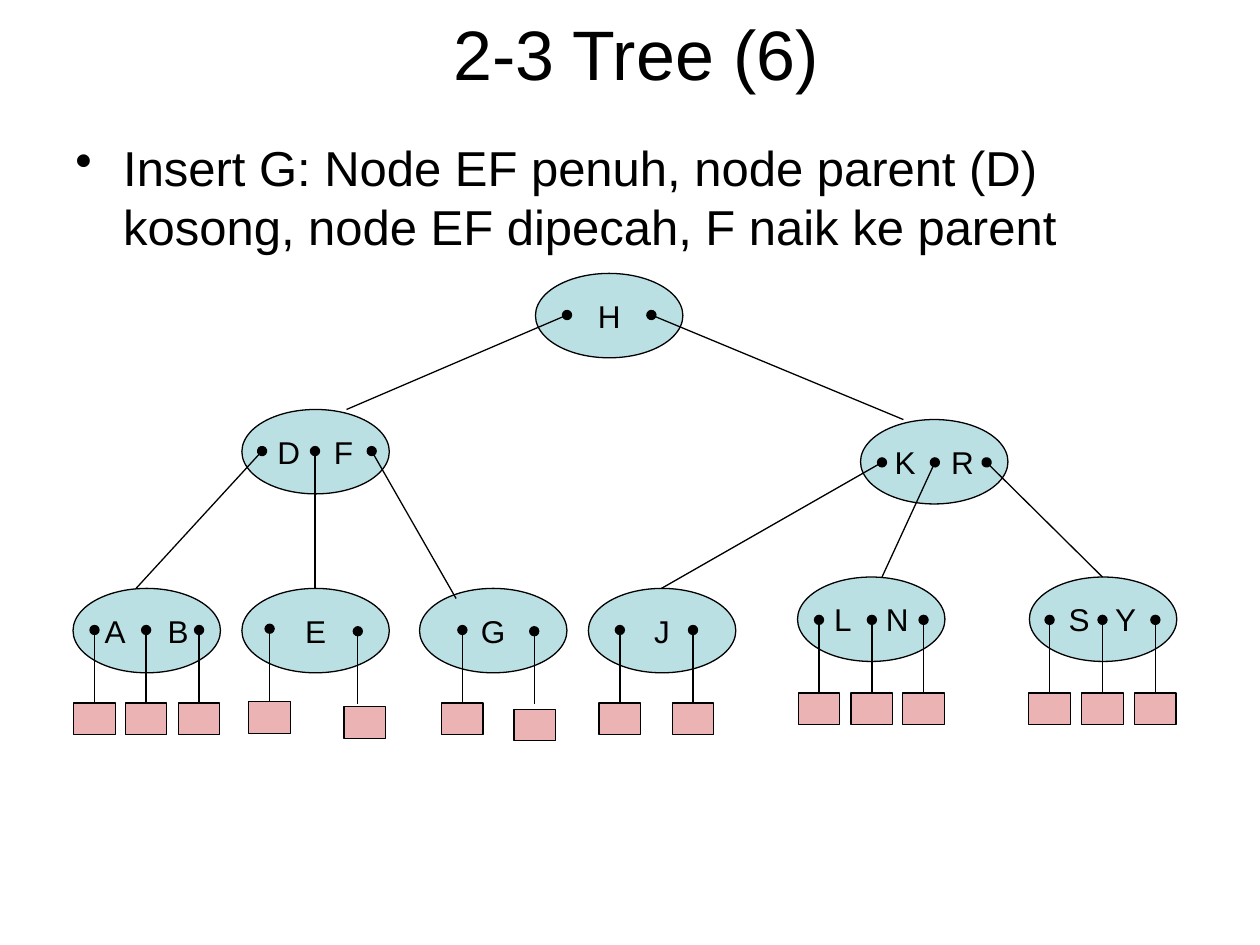
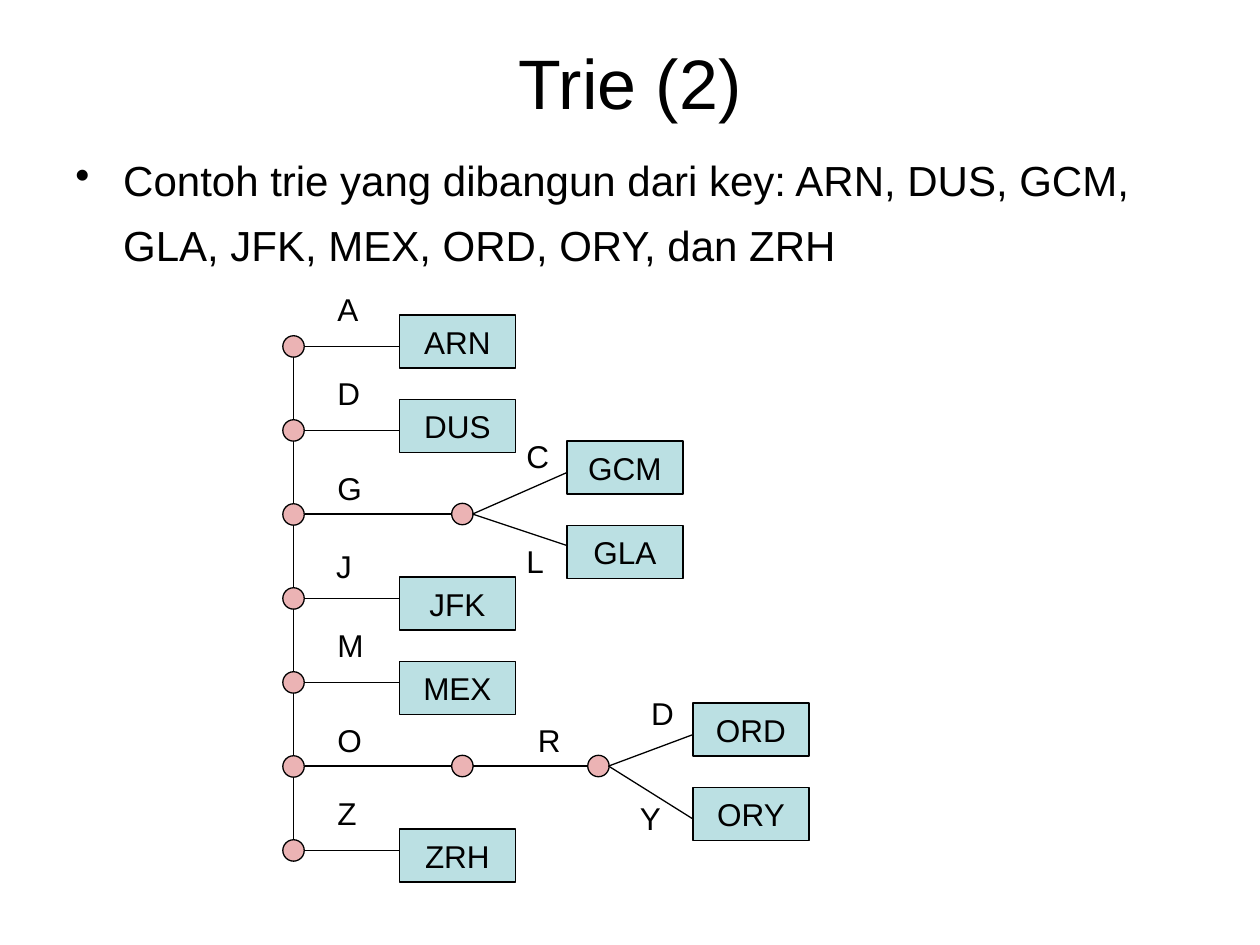
from dataclasses import dataclass

from lxml import etree
from pptx import Presentation
from pptx.dml.color import RGBColor
from pptx.enum.shapes import MSO_CONNECTOR, MSO_SHAPE
from pptx.enum.text import MSO_ANCHOR, PP_ALIGN
from pptx.oxml.ns import qn
from pptx.util import Inches, Pt

OVAL = MSO_SHAPE.OVAL
RECTANGLE = MSO_SHAPE.RECTANGLE
STRAIGHT = MSO_CONNECTOR.STRAIGHT
MIDDLE = MSO_ANCHOR.MIDDLE
CENTER = PP_ALIGN.CENTER
LEFT = PP_ALIGN.LEFT
TOP_SIDE = 0


@dataclass(frozen=True)
class Theme:
    font: str = "Arial"
    ink: RGBColor = RGBColor(0x00, 0x00, 0x00)
    teal: RGBColor = RGBColor(0xBB, 0xE0, 0xE3)
    pink: RGBColor = RGBColor(0xEB, 0xB3, 0xB4)
    title_size: int = 40
    label_size: int = 18
    line_width: float = 0.75


THEME = Theme()

NODE_WIDTH, NODE_HEIGHT = 1.17, 0.67
NODE_INSET = 0.17
LEAF_WIDTH, LEAF_HEIGHT = 0.33, 0.25
POINTER_LENGTH = 0.58

TREE_NODES = [
    (4.25, 2.17, [("H", None)]),
    (1.92, 3.25, [("D", 0.28), ("F", 0.73)]),
    (6.83, 3.33, [("K", 0.27), ("R", 0.72)]),
    (0.58, 4.67, [("A", 0.25), ("B", 0.75)]),
    (1.92, 4.67, [("E", None)]),
    (3.33, 4.67, [("G", None)]),
    (4.67, 4.67, [("J", None)]),
    (6.33, 4.58, [("L", 0.29), ("N", 0.7)]),
    (8.17, 4.58, [("S", 0.31), ("Y", 0.68)]),
]
TREE_LINKS = [
    ((4.5, 2.5), (2.75, 3.25)),
    ((5.17, 2.5), (7.17, 3.33)),
    ((2.08, 3.58), (1.08, 4.67)),
    ((2.5, 3.58), (2.5, 4.67)),
    ((2.95, 3.58), (3.62, 4.75)),
    ((7, 3.67), (5.25, 4.67)),
    ((7.42, 3.67), (7, 4.58)),
    ((7.83, 3.67), (8.75, 4.58)),
]
LEAF_ROWS = {
    5: [0.75, 1.16, 1.58, 3.67, 4.92, 5.5],
    4.92: [6.5, 6.92, 7.33, 8.33, 8.75, 9.17],
    4.99: [2.14],
}
SHIFTED_LEAVES = [((2.84, 5.01), (2.73, 5.61)), ((4.24, 5.01), (4.08, 5.63))]

DOT_SIZE = 0.17
KEY_WIDTH, KEY_HEIGHT = 0.92, 0.42
TRUNK_X, TRUNK_TOP, TRUNK_STEP = 2.33, 2.75, 2 / 3
KEY_LEFT = 3.17
TRUNK_ROWS = [
    ("ARN", 2.5),
    ("DUS", 3.17),
    None,
    ("JFK", 4.58),
    ("MEX", 5.25),
    None,
    ("ZRH", 6.58),
]
INNER_DOTS = [(3.67, 4.08), (3.67, 6.08), (4.75, 6.08)]
INNER_LINKS = [
    ((2.42, 4.08), (3.58, 4.08)),
    ((2.42, 6.08), (3.58, 6.08)),
    ((3.75, 6.08), (4.67, 6.08)),
]
FORKS = [
    ((3.75, 4.08), 4.5, [("GCM", 3.5, 3.75), ("GLA", 4.17, 4.33)]),
    ((4.83, 6.08), 5.5, [("ORD", 5.58, 5.83), ("ORY", 6.25, 6.5)]),
]
EDGE_LABELS = [
    ("A", 2.58, 2.25), ("D", 2.58, 2.92), ("G", 2.58, 3.67),
    ("J", 2.57, 4.29), ("M", 2.58, 4.92), ("O", 2.58, 5.67),
    ("Z", 2.58, 6.25), ("C", 4.08, 3.42), ("L", 4.08, 4.25),
    ("R", 4.17, 5.67), ("D", 5.07, 5.46), ("Y", 4.98, 6.29),
]


def style_text(paragraph, size, alignment=LEFT):
    paragraph.alignment = alignment
    paragraph.font.name = THEME.font
    paragraph.font.size = Pt(size)
    paragraph.font.color.rgb = THEME.ink


def add_titled_slide(deck, title, top, height, left=0.5):
    slide = deck.slides.add_slide(deck.slide_layouts[5])
    box = slide.shapes.title
    box.left, box.top = Inches(left), Inches(top)
    box.width, box.height = Inches(9), Inches(height)
    box.text_frame.text = title
    box.text_frame.vertical_anchor = MIDDLE
    style_text(box.text_frame.paragraphs[0], THEME.title_size, CENTER)
    return slide


def add_bullet(slide, text, top, size, line_spacing=None):
    box = slide.shapes.add_textbox(
        Inches(0.5), Inches(top), Inches(9), Inches(6.7 - top))
    box.text_frame.word_wrap = True
    paragraph = box.text_frame.paragraphs[0]
    paragraph.text = text
    paragraph.line_spacing = line_spacing
    properties = paragraph._p.get_or_add_pPr()
    properties.set("marL", str(Inches(0.38)))
    properties.set("indent", str(-Inches(0.38)))
    etree.SubElement(properties, qn("a:buChar"), char="•")
    style_text(paragraph, size)


def add_block(slide, kind, left, top, width, height, color):
    shape = slide.shapes.add_shape(
        kind, Inches(left), Inches(top), Inches(width), Inches(height))
    shape.shadow.inherit = False
    shape.fill.solid()
    shape.fill.fore_color.rgb = color
    shape.line.color.rgb = THEME.ink
    shape.line.width = Pt(THEME.line_width)
    return shape


def add_line(slide, start, end, dotted_start=False):
    line = slide.shapes.add_connector(
        STRAIGHT, *(Inches(value) for value in (*start, *end)))
    line.line.color.rgb = THEME.ink
    line.line.width = Pt(THEME.line_width)
    if dotted_start:
        etree.SubElement(line.line._get_or_add_ln(), qn("a:headEnd"), type="oval")
    etree.SubElement(line._element.spPr, qn("a:effectLst"))
    return line


def add_node(slide, left, top, keys):
    node = add_block(slide, OVAL, left, top, NODE_WIDTH, NODE_HEIGHT, THEME.teal)
    frame = node.text_frame
    frame.vertical_anchor = MIDDLE
    frame.word_wrap = len(keys) > 1
    paragraph = frame.paragraphs[0]
    paragraph.text = "\t".join(key for key, _ in keys)
    alignment = CENTER
    if len(keys) > 1:
        first, second = (offset for _, offset in keys)
        frame.margin_left = Inches(first - NODE_INSET)
        frame.margin_right = 0
        tabs = etree.SubElement(paragraph._p.get_or_add_pPr(), qn("a:tabLst"))
        etree.SubElement(
            tabs, qn("a:tab"), pos=str(Inches(second - first)), algn="l")
        alignment = LEFT
    style_text(paragraph, THEME.label_size, alignment)


def add_leaf(slide, left, top):
    return add_block(
        slide, RECTANGLE, left, top, LEAF_WIDTH, LEAF_HEIGHT, THEME.pink)


def add_pointer(slide, x, y):
    return add_line(slide, (x, y), (x, y + POINTER_LENGTH), dotted_start=True)


def add_key(slide, text, left, top):
    box = add_block(
        slide, RECTANGLE, left, top, KEY_WIDTH, KEY_HEIGHT, THEME.teal)
    box.text_frame.word_wrap = False
    box.text_frame.vertical_anchor = MIDDLE
    paragraph = box.text_frame.paragraphs[0]
    paragraph.text = text
    style_text(paragraph, THEME.label_size, CENTER)


def add_dot(slide, x, y):
    half = DOT_SIZE / 2
    add_block(slide, OVAL, x - half, y - half, DOT_SIZE, DOT_SIZE, THEME.pink)


def add_edge_label(slide, text, left, top):
    box = slide.shapes.add_textbox(
        Inches(left), Inches(top), Inches(0.38), Inches(0.4))
    box.text_frame.word_wrap = False
    paragraph = box.text_frame.paragraphs[0]
    paragraph.text = text
    style_text(paragraph, THEME.label_size)


def build_tree_slide(deck):
    slide = add_titled_slide(deck, "2-3 Tree (6)", 0.03, 0.78, left=0.55)
    add_bullet(
        slide,
        "Insert G: Node EF penuh, node parent (D) kosong, "
        "node EF dipecah, F naik ke parent",
        1.04, 28)
    for left, top, keys in TREE_NODES:
        add_node(slide, left, top, keys)
    for start, end in TREE_LINKS:
        add_line(slide, start, end, dotted_start=True)
    for y, columns in LEAF_ROWS.items():
        for x in columns:
            leaf = add_leaf(slide, x - LEAF_WIDTH / 2, y + POINTER_LENGTH)
            add_pointer(slide, x, y).end_connect(leaf, TOP_SIDE)
    for pointer, corner in SHIFTED_LEAVES:
        add_leaf(slide, *corner)
        add_pointer(slide, *pointer)


def build_trie_slide(deck):
    slide = add_titled_slide(deck, "Trie (2)", 0.3, 0.7)
    add_bullet(
        slide,
        "Contoh trie yang dibangun dari key: ARN, DUS, GCM, "
        "GLA, JFK, MEX, ORD, ORY, dan ZRH",
        1.07, 24, Pt(36.8))
    half = DOT_SIZE / 2
    for row, key in enumerate(TRUNK_ROWS):
        y = TRUNK_TOP + row * TRUNK_STEP
        add_dot(slide, TRUNK_X, y)
        if row:
            add_line(slide, (TRUNK_X, y - TRUNK_STEP + half), (TRUNK_X, y - half))
        if key:
            text, top = key
            add_key(slide, text, KEY_LEFT, top)
            add_line(slide, (TRUNK_X + half, y), (KEY_LEFT, y))
    for x, y in INNER_DOTS:
        add_dot(slide, x, y)
    for start, end in INNER_LINKS:
        add_line(slide, start, end)
    for start, left, keys in FORKS:
        for text, top, end_y in keys:
            add_key(slide, text, left, top)
            add_line(slide, start, (left, end_y))
    for text, left, top in EDGE_LABELS:
        add_edge_label(slide, text, left, top)


def main():
    deck = Presentation()
    deck.slide_width, deck.slide_height = Inches(10), Inches(7.5)
    build_tree_slide(deck)
    build_trie_slide(deck)
    deck.save("out.pptx")


if __name__ == "__main__":
    main()
